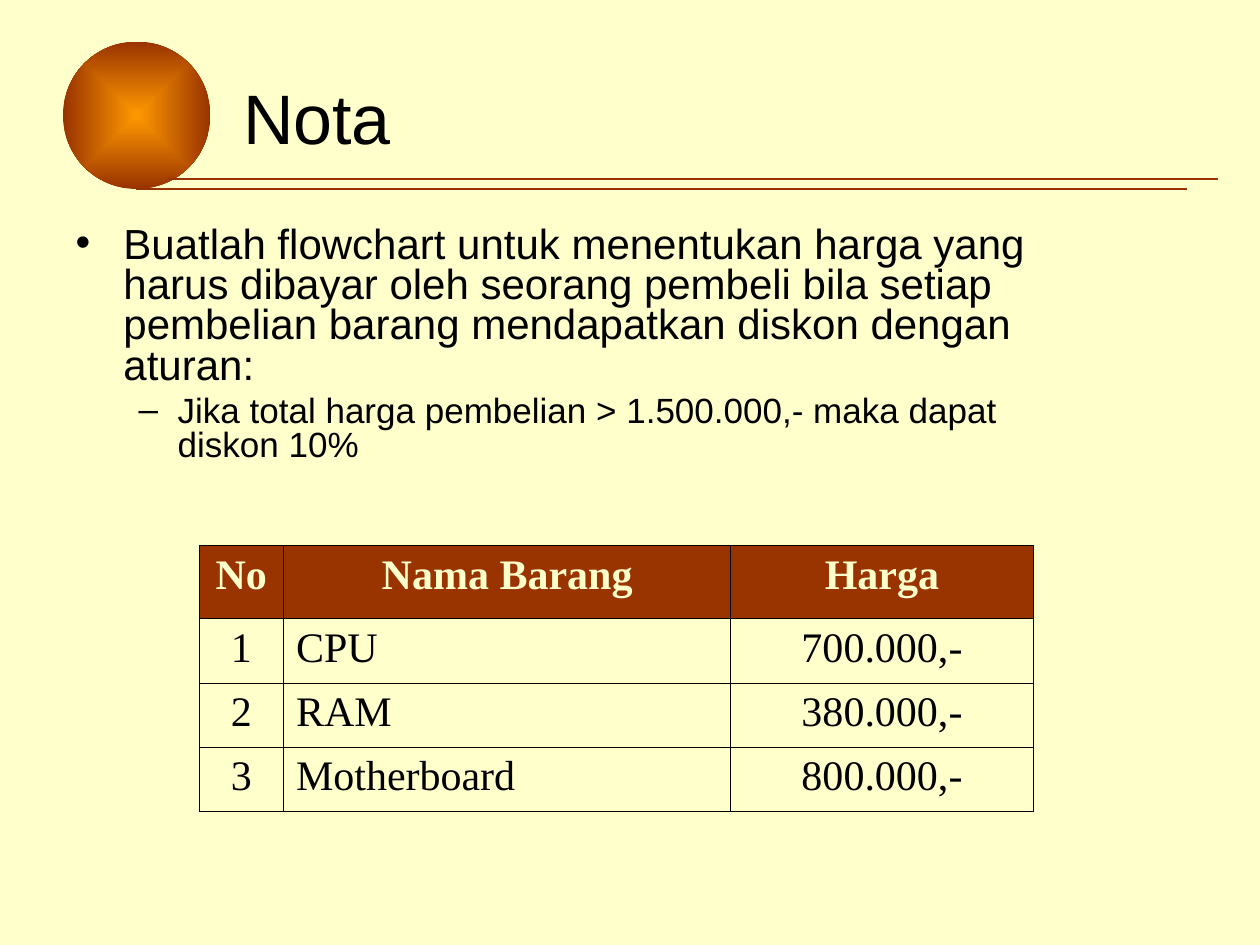
from dataclasses import dataclass

import pptx
import pptx.dml.color
import pptx.enum.shapes
import pptx.enum.text
import pptx.oxml
import pptx.oxml.ns
import pptx.util
from lxml import etree

Inches, Pt = pptx.util.Inches, pptx.util.Pt
ALIGN = pptx.enum.text.PP_ALIGN
qn = pptx.oxml.ns.qn

CREAM, RUST, ORANGE, BLACK = "FFFFCC", "993300", "FF9900", "000000"


@dataclass
class Rule:
    left: float
    right: float
    y: float


@dataclass
class Bullet:
    text: str
    level: int
    mark: str
    size: int
    margin: float
    hanging: float
    space_before: int


@dataclass
class Column:
    heading: str
    width: float
    align: pptx.enum.text.PP_ALIGN
    values: list[str]


RULES = [Rule(1.08, 9.42, 1.5), Rule(1.33, 9.67, 1.42)]
BULLETS = [
    Bullet("Buatlah flowchart untuk menentukan harga yang harus dibayar oleh seorang "
           "pembeli bila setiap pembelian barang mendapatkan diskon dengan aturan:",
           0, "•", 24, 0.38, 0.38, 6),
    Bullet("Jika total harga pembelian > 1.500.000,- maka dapat diskon 10%",
           1, "–", 20, 0.81, 0.31, 5),
]
COLUMNS = [
    Column("No", 0.67, ALIGN.CENTER, ["1", "2", "3"]),
    Column("Nama Barang", 3.55, ALIGN.LEFT, ["CPU", "RAM", "Motherboard"]),
    Column("Harga", 2.4, ALIGN.CENTER, ["700.000,-", "380.000,-", "800.000,-"]),
]
HEADER_HEIGHT, ROW_HEIGHT = 0.58, 0.51


def rgb(color: str) -> pptx.dml.color.RGBColor:
    return pptx.dml.color.RGBColor.from_string(color)


def format_runs(p, size: float, font: str = "Arial", color: str = BLACK, bold: bool = False) -> None:
    for r in p.runs:
        r.font.name, r.font.size, r.font.bold = font, Pt(size), bold
        r.font.color.rgb = rgb(color)


def place(sp, left: float, top: float, width: float, height: float) -> None:
    sp.left, sp.top = Inches(left), Inches(top)
    sp.width, sp.height = Inches(width), Inches(height)


def draw_ball(shapes) -> None:
    """Draw the circle whose gradient runs from its centre outwards."""
    sp = shapes.add_shape(pptx.enum.shapes.MSO_SHAPE.OVAL,
                          Inches(0.5), Inches(0.33), Inches(1.17), Inches(1.17))
    sp.shadow.inherit = False
    sp.line.fill.background()
    sp.fill.gradient()
    for stop, color in zip(sp.fill.gradient_stops, (ORANGE, RUST)):
        stop.color.rgb = rgb(color)
    grad = sp._element.spPr.find(qn("a:gradFill"))
    grad.remove(grad.find(qn("a:lin")))
    focus = etree.SubElement(grad, qn("a:path"), {"path": "rect"})
    etree.SubElement(focus, qn("a:fillToRect"), dict.fromkeys("ltrb", "50000"))


def draw_rule(shapes, rule: Rule) -> None:
    line = shapes.add_connector(pptx.enum.shapes.MSO_CONNECTOR.STRAIGHT,
                                Inches(rule.left), Inches(rule.y),
                                Inches(rule.right), Inches(rule.y))
    line.line.color.rgb = rgb(RUST)
    line.line.width = Pt(0.75)
    etree.SubElement(line._element.spPr, qn("a:effectLst"))


def write_bullet(p, bullet: Bullet) -> None:
    p.text = bullet.text
    p.level = bullet.level
    p.line_spacing = 0.8
    p.space_before = Pt(bullet.space_before)
    format_runs(p, bullet.size)
    pPr = p._p.get_or_add_pPr()
    pPr.set("marL", str(Inches(bullet.margin)))
    pPr.set("indent", str(-Inches(bullet.hanging)))
    bu_color = etree.SubElement(pPr, qn("a:buClr"))
    etree.SubElement(bu_color, qn("a:srgbClr"), val=BLACK)
    etree.SubElement(pPr, qn("a:buFont"), typeface="Arial")
    etree.SubElement(pPr, qn("a:buChar"), char=bullet.mark)


def set_borders(cell) -> None:
    tcPr = cell._tc.get_or_add_tcPr()
    for i, side in enumerate(("lnL", "lnR", "lnT", "lnB")):
        ln = pptx.oxml.parse_xml(
            f'<a:{side} {pptx.oxml.ns.nsdecls("a")} w="{Pt(0.45)}"><a:solidFill>'
            f'<a:srgbClr val="{BLACK}"/></a:solidFill></a:{side}>')
        tcPr.insert(i, ln)


def write_cell(cell, text: str, align, header: bool) -> None:
    if header:
        cell.fill.solid()
        cell.fill.fore_color.rgb = rgb(RUST)
    else:
        cell.fill.background()
    p = cell.text_frame.paragraphs[0]
    p.text = text
    p.alignment = align
    format_runs(p, 24, "Times New Roman", CREAM if header else BLACK, header)
    set_borders(cell)


def draw_price_table(shapes, columns: list[Column]) -> None:
    n_rows = 1 + len(columns[0].values)
    width = sum(column.width for column in columns)
    height = HEADER_HEIGHT + ROW_HEIGHT * (n_rows - 1)
    table = shapes.add_table(n_rows, len(columns), Inches(1.58), Inches(4.33),
                             Inches(width), Inches(height)).table
    table.first_row = table.horz_banding = False
    for i, row in enumerate(table.rows):
        row.height = Inches(ROW_HEIGHT if i else HEADER_HEIGHT)
    for j, column in enumerate(columns):
        table.columns[j].width = Inches(column.width)
        write_cell(table.cell(0, j), column.heading, ALIGN.CENTER, True)
        for i, value in enumerate(column.values, 1):
            write_cell(table.cell(i, j), value, column.align, False)


def main() -> None:
    prs = pptx.Presentation()
    prs.slide_width, prs.slide_height = Inches(10), Inches(7.5)
    slide = prs.slides.add_slide(prs.slide_layouts[1])
    slide.background.fill.solid()
    slide.background.fill.fore_color.rgb = rgb(CREAM)
    shapes = slide.shapes
    title, body = shapes.title, slide.placeholders[1]

    draw_ball(shapes)
    for rule in RULES:
        draw_rule(shapes, rule)

    place(title, 1.83, 0.3, 7.67, 1.25)
    title.text_frame.text = "Nota"
    title.text_frame.vertical_anchor = pptx.enum.text.MSO_ANCHOR.MIDDLE
    title.text_frame.paragraphs[0].alignment = ALIGN.LEFT
    format_runs(title.text_frame.paragraphs[0], 40)

    place(body, 0.5, 1.75, 8.25, 2.08)
    tf = body.text_frame
    for i, bullet in enumerate(BULLETS):
        write_bullet(tf.add_paragraph() if i else tf.paragraphs[0], bullet)
    for sp in (title, body):
        sp.text_frame.auto_size = pptx.enum.text.MSO_AUTO_SIZE.NONE

    draw_price_table(shapes, COLUMNS)
    prs.save("out.pptx")


if __name__ == "__main__":
    main()
